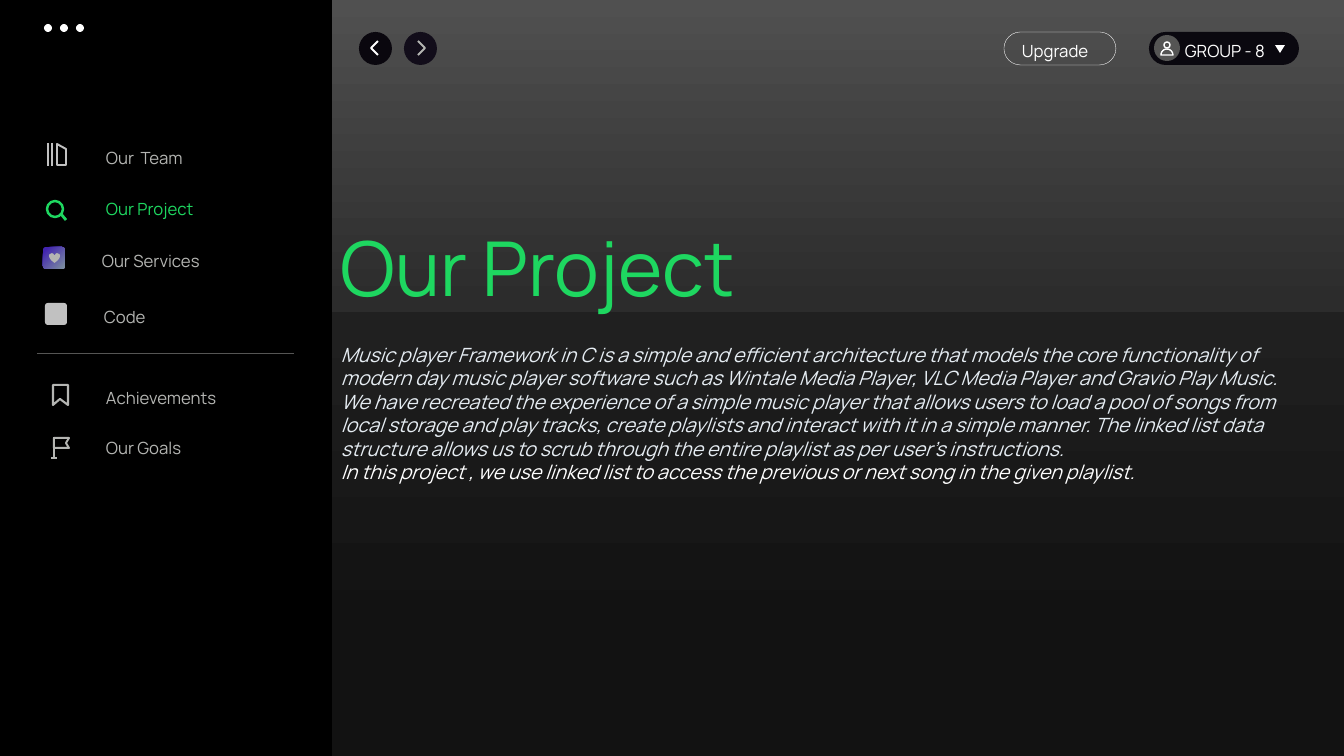
from math import cos, pi, sin

from pptx import Presentation
from pptx.dml.color import RGBColor
from pptx.enum.shapes import MSO_CONNECTOR, MSO_SHAPE
from pptx.enum.text import MSO_AUTO_SIZE
from pptx.oxml.xmlchemy import OxmlElement
from pptx.util import Emu, Pt

RECT, OVAL = MSO_SHAPE.RECTANGLE, MSO_SHAPE.OVAL
ROUND, HEART = MSO_SHAPE.ROUNDED_RECTANGLE, MSO_SHAPE.HEART
TRIANGLE = MSO_SHAPE.ISOSCELES_TRIANGLE
STRAIGHT = MSO_CONNECTOR.STRAIGHT
GROW = MSO_AUTO_SIZE.SHAPE_TO_FIT_TEXT

BLACK = RGBColor(0x00, 0x00, 0x00)
WHITE = RGBColor(0xFF, 0xFF, 0xFF)
GREEN = RGBColor(0x1E, 0xD7, 0x60)
MUTED = RGBColor(0xB4, 0xB5, 0xB2)
SILVER = RGBColor(0xC1, 0xC1, 0xC1)
GREY = RGBColor(0x55, 0x55, 0x54)
PALE = RGBColor(0xE6, 0xED, 0xF3)
PILL = RGBColor(0x0A, 0x08, 0x0F)
BACK = RGBColor(0x0A, 0x07, 0x0E)
FORWARD = RGBColor(0x12, 0x0D, 0x1A)
BACKDROP = ((0, RGBColor(0x50, 0x50, 0x50)), (0.4, RGBColor(0x2C, 0x2C, 0x2C)))
PANEL = ((0, RGBColor(0x20, 0x20, 0x20)), (0.73, RGBColor(0x12, 0x12, 0x12)))
VIOLET = ((0.11, RGBColor(0x42, 0x24, 0xB0)), (1, RGBColor(0x7F, 0x93, 0xA0)))

# Content
SLIDE_W, SLIDE_H, SIDEBAR_W, PANEL_TOP = 1344, 756, 332, 312
LABEL_H = 30
LABELS = [  # text, left, top, width, colour
    ("Our  Team", 96, 143, 109, MUTED),
    ("Our Project", 96, 194, 114, GREEN),
    ("Our Services", 92, 246, 127, MUTED),
    ("Code", 94, 302, 67, MUTED),
    ("Achievements", 96, 383, 143, MUTED),
    ("Our Goals", 96, 433, 109, MUTED),
    ("Upgrade", 1012, 36, 95, WHITE),
    ("GROUP - 8", 1175, 36, 109, WHITE),
]
TITLE = "Our Project"
STORY = [
    ("Music player Framework in C is a simple and efficient architecture that "
     "models the core functionality of modern day music player software such as "
     "Wintale Media Player, VLC Media Player and Gravio Play Music.", PALE),
    ("We have recreated the experience of a simple music player that allows users "
     "to load a pool of songs from local storage and play tracks, create playlists "
     "and interact with it in a simple manner. The linked list data structure "
     "allows us to scrub through the entire playlist as per user’s instructions.",
     PALE),
    ("In this project , we use linked list to access the previous or next song in "
     "the given playlist.", WHITE),
]
NAV_BUTTONS = [  # left, fill, chevron colour, chevron end offset, tip offset
    (359, BACK, WHITE, 19, 12),
    (404, FORWARD, MUTED, 14, 21),
]
BOOK = [(57, 144), (66, 149), (66, 165), (57, 165)]
BOOKMARK = [(53, 385), (68, 385), (68, 405), (60, 399), (53, 405)]
FLAG = [(54, 438), (69, 438), (66, 443), (69, 448), (54, 448)]
SHOULDERS = [(1167 + 6 * cos(pi * i / 12), 55 - 6 * sin(pi * i / 12))
             for i in range(13)]
LINES = [  # from, to, colour, points
    ((37, 353), (294, 353), GREY, 0.5),
    ((48, 143), (48, 166), SILVER, 1),
    ((52, 143), (52, 166), SILVER, 1),
    ((61, 214), (66, 220), GREEN, 2),
    ((54, 437), (54, 458), MUTED, 1.5),
    ((51, 458), (57, 458), MUTED, 1.5),
]

prs = Presentation()


def px(length):
    return Emu(round(length * 914400 / 100.8))


prs.slide_width, prs.slide_height = px(SLIDE_W), px(SLIDE_H)
slide = prs.slides.add_slide(prs.slide_layouts[6])
shapes = slide.shapes


def set_gradient(fill, stops, angle):
    fill.gradient()
    fill.gradient_angle = angle
    for stop, (position, color) in zip(fill.gradient_stops, stops):
        stop.position = position
        stop.color.rgb = color


def paint(shape, fill=None, line=None, weight=1.0):
    shape.shadow.inherit = False
    if fill is None:
        shape.fill.background()
    else:
        shape.fill.solid()
        shape.fill.fore_color.rgb = fill
    if line is None:
        shape.line.fill.background()
    else:
        shape.line.color.rgb = line
        shape.line.width = Pt(weight)


def add_preset(kind, x, y, w, h, fill=None, line=None, weight=1.0, corner=None):
    shape = shapes.add_shape(kind, px(x), px(y), px(w), px(h))
    paint(shape, fill, line, weight)
    if corner is not None:
        shape.adjustments[0] = corner
    return shape


def add_outline(points, color, weight, close=True):
    start, *rest = [(px(x), px(y)) for x, y in points]
    builder = shapes.build_freeform(*start)
    builder.add_line_segments(rest, close=close)
    paint(builder.convert_to_shape(), line=color, weight=weight)


def add_line(start, end, color, weight):
    line = shapes.add_connector(STRAIGHT, *map(px, start + end))
    line.line.color.rgb = color
    line.line.width = Pt(weight)
    line._element.spPr.append(OxmlElement("a:effectLst"))


def add_frame(x, y, w, h, wrap):
    frame = shapes.add_textbox(px(x), px(y), px(w), px(h)).text_frame
    frame.word_wrap = wrap
    frame.auto_size = GROW
    return frame


def write(paragraph, text, size=12, color=WHITE, italic=False, before=0):
    run = paragraph.add_run()
    run.text = text
    run.font.name = "Manrope"
    run.font.size = Pt(size)
    run.font.italic = italic
    run.font.color.rgb = color
    if before:
        paragraph.space_before = Pt(before)


# Background, sidebar and lower panel
set_gradient(slide.background.fill, BACKDROP, 270)
add_preset(RECT, 0, 0, SIDEBAR_W, SLIDE_H, fill=BLACK)
lower_panel = add_preset(RECT, SIDEBAR_W, PANEL_TOP,
                         SLIDE_W - SIDEBAR_W, SLIDE_H - PANEL_TOP)
set_gradient(lower_panel.fill, PANEL, 270)

# Window dots
for i in range(3):
    add_preset(OVAL, 44 + 16 * i, 24, 8, 8, fill=WHITE)

# Back and forward buttons
for left, fill, color, end, tip in NAV_BUTTONS:
    add_preset(OVAL, left, 32, 33, 33, fill=fill)
    add_outline([(left + end, 41), (left + tip, 48), (left + end, 55)],
                color, 1.4, close=False)

# Upgrade button and group menu
add_preset(ROUND, 1004, 32, 112, 33, line=WHITE, weight=0.25, corner=0.5)
add_preset(ROUND, 1149, 32, 150, 33, fill=PILL, corner=0.5)
add_preset(OVAL, 1154, 35, 26, 26, fill=GREY)
add_preset(OVAL, 1164, 42, 6, 6, line=WHITE)
add_outline(SHOULDERS, WHITE, 1)
add_preset(TRIANGLE, 1275, 45, 10, 8, fill=WHITE).rotation = 180

# Sidebar icons and divider
add_outline(BOOK, SILVER, 1.4)
add_outline(BOOKMARK, MUTED, 1.5)
add_outline(FLAG, MUTED, 1.4)
add_preset(OVAL, 47, 201, 16, 16, line=GREEN, weight=1.75)
for line_parts in LINES:
    add_line(*line_parts)
services_tile = add_preset(ROUND, 43, 247, 22, 22, corner=0.13)
set_gradient(services_tile.fill, VIOLET, 315)
add_preset(HEART, 49, 253, 11, 10, fill=MUTED)
add_preset(ROUND, 45, 303, 22, 22, fill=SILVER, corner=0.13)

# Labels
for text, x, y, w, color in LABELS:
    label = add_frame(x, y, w, LABEL_H, wrap=False)
    write(label.paragraphs[0], text, color=color)

# Title and story
story = add_frame(331, 216, 964, 383, wrap=True)
write(story.paragraphs[0], TITLE, size=54, color=GREEN)
for i, (text, color) in enumerate(STORY):
    write(story.add_paragraph(), text, size=14, color=color, italic=True,
          before=0 if i else 22)

prs.save("out.pptx")
